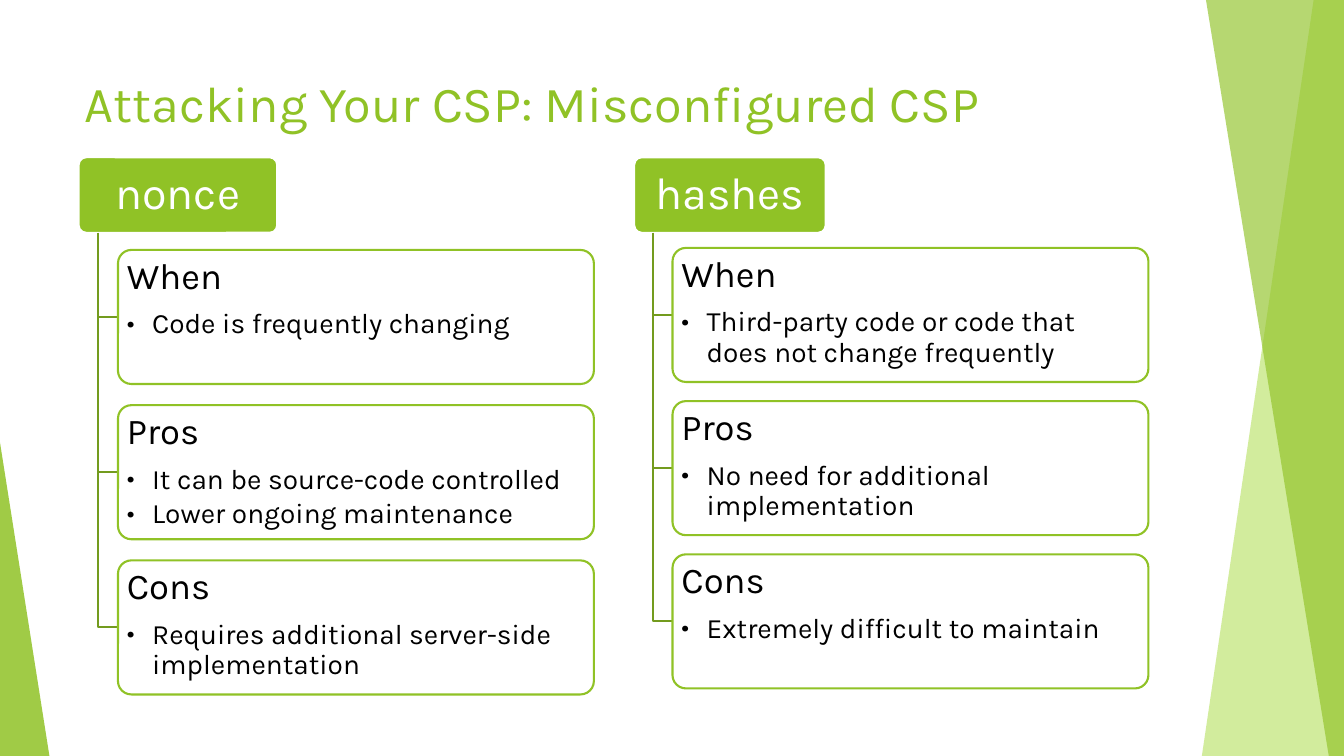
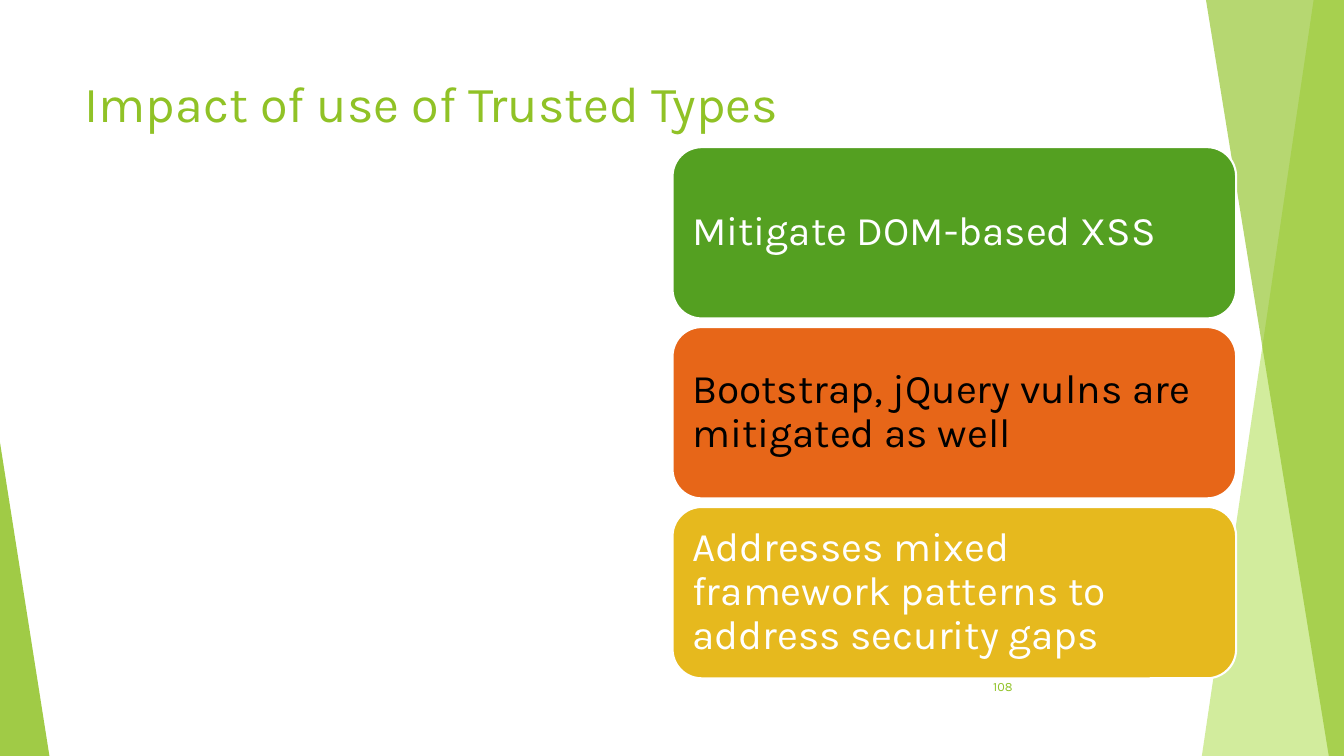
from lxml import etree
from pptx import Presentation
from pptx import util as u
from pptx.dml.color import RGBColor
from pptx.enum import shapes, text
from pptx.oxml import ns

GREEN = RGBColor(0x90, 0xC2, 0x26)
PALE_GREEN = RGBColor(0xC0, 0xE4, 0x74)
LEAF = RGBColor(0x54, 0xA0, 0x21)
OLIVE = RGBColor(0x73, 0x9B, 0x1E)
ORANGE = RGBColor(0xE7, 0x66, 0x18)
YELLOW = RGBColor(0xE6, 0xB9, 0x1E)
WHITE = RGBColor(0xFF, 0xFF, 0xFF)
BLACK = RGBColor(0x00, 0x00, 0x00)
FONT = "Karla"
ROUNDED = shapes.MSO_SHAPE.ROUNDED_RECTANGLE
LEFT, CENTER, RIGHT = text.PP_ALIGN.LEFT, text.PP_ALIGN.CENTER, text.PP_ALIGN.RIGHT
TOP, MIDDLE = text.MSO_ANCHOR.TOP, text.MSO_ANCHOR.MIDDLE


def add_span(para, words, size, color, align=LEFT):
    para.alignment = align
    span = para.add_run()
    span.text = words
    span.font.name = FONT
    span.font.size = u.Pt(size)
    span.font.color.rgb = color


def add_box(page, place, fill, line, corner, anchor, margin_x, margin_y):
    """Add a rounded box at place (left, top, width, height in inches)."""
    box = page.shapes.add_shape(ROUNDED, *map(u.Inches, place))
    box.adjustments[0] = corner
    box.shadow.inherit = False
    box.fill.solid()
    box.fill.fore_color.rgb = fill
    box.line.color.rgb = line
    box.line.width = u.Pt(1.5)
    frame = box.text_frame
    frame.word_wrap = True
    frame.vertical_anchor = anchor
    frame.margin_left = frame.margin_right = u.Inches(margin_x)
    frame.margin_top = frame.margin_bottom = u.Inches(margin_y)
    frame.paragraphs[0].line_spacing = 0.9
    return box


deck = Presentation()
deck.slide_width, deck.slide_height = u.Inches(13.33), u.Inches(7.5)
layout = deck.slide_layouts[5]

# Titles
pages = []
for heading in ("Attacking Your CSP: Misconfigured CSP", "Impact of use of Trusted Types"):
    page = deck.slides.add_slide(layout)
    title = page.shapes.title
    title.left, title.top = u.Inches(0.74), u.Inches(0.67)
    title.width, title.height = u.Inches(9.4), u.Inches(0.82)
    title.text_frame.auto_size = text.MSO_AUTO_SIZE.NONE
    title.text_frame.vertical_anchor = TOP
    add_span(title.text_frame.paragraphs[0], heading, 36, GREEN)
    pages.append(page)
compare_page, impact_page = pages

# Green side bands, shared through the layout
bands = []
for outline, color, opacity in (
    ([(13.03, -0.01), (13.33, -0.01), (13.33, 7.5), (11.92, 7.5)], PALE_GREEN, 70),
    ([(11.96, -0.01), (13.33, -0.01), (13.33, 7.5), (13.18, 7.5)], GREEN, 65),
):
    corners = [(u.Inches(x), u.Inches(y)) for x, y in outline]
    builder = compare_page.shapes.build_freeform(*corners[0])
    builder.add_line_segments(corners[1:], close=True)
    bands.append((builder.convert_to_shape(), color, opacity))
wedge = compare_page.shapes.add_shape(
    shapes.MSO_SHAPE.ISOSCELES_TRIANGLE, 0, u.Inches(4.39), u.Inches(0.49), u.Inches(3.11))
wedge.adjustments[0] = 0
bands.append((wedge, GREEN, 85))

for index, (band, color, opacity) in enumerate(bands):
    band.shadow.inherit = False
    band.line.fill.background()
    band.fill.solid()
    band.fill.fore_color.rgb = color
    tint = band.element.spPr.find(".//" + ns.qn("a:srgbClr"))
    etree.SubElement(tint, ns.qn("a:alpha"), val=str(opacity * 1000))
    band.element.nvSpPr.cNvPr.id = 20 + index
    layout.shapes.element.insert(2 + index, band.element)

# Comparison: a header with three cards hanging from it, per column
HEADER_TOP, HEADER_HEIGHT = 1.56, 0.75
CARD_WIDTH, CARD_HEIGHT = 4.72, 1.33
columns = (
    ("nonce", 0.78, 1.97, 1.17, 2.48, 1.54, (
        ("When", ["Code is frequently changing"]),
        ("Pros", ["It can be source-code controlled", "Lower ongoing maintenance"]),
        ("Cons", ["Requires additional server-side implementation"]),
    )),
    ("hashes", 6.29, 1.9, 6.67, 2.46, 1.52, (
        ("When", ["Third-party code or code that does not change frequently"]),
        ("Pros", ["No need for additional implementation"]),
        ("Cons", ["Extremely difficult to maintain"]),
    )),
)
for name, left, width, card_left, card_top, pitch, cards in columns:
    header = add_box(compare_page, (left, HEADER_TOP, width, HEADER_HEIGHT),
                     GREEN, WHITE, 0.1, MIDDLE, 0.07, 0.04)
    add_span(header.text_frame.paragraphs[0], name, 32, WHITE, CENTER)

    trunk_x = u.Inches(left + 0.19)
    for row, (topic, points) in enumerate(cards):
        top = card_top + row * pitch
        branch_y = u.Inches(top + CARD_HEIGHT / 2)
        builder = compare_page.shapes.build_freeform(
            trunk_x, u.Inches(HEADER_TOP + HEADER_HEIGHT))
        builder.add_line_segments(
            [(trunk_x, branch_y), (u.Inches(card_left), branch_y)], close=False)
        elbow = builder.convert_to_shape()
        elbow.shadow.inherit = False
        elbow.fill.background()
        elbow.line.color.rgb = OLIVE
        elbow.line.width = u.Pt(1.5)

        card = add_box(compare_page, (card_left, top, CARD_WIDTH, CARD_HEIGHT),
                       WHITE, GREEN, 0.1, TOP, 0.05, 0.04)
        para = card.text_frame.paragraphs[0]
        para.space_after = u.Pt(9)
        add_span(para, topic, 26, BLACK)
        for point in points:
            para = card.text_frame.add_paragraph()
            para.level = 1
            para.line_spacing = 0.9
            para.space_after = u.Pt(3)
            props = para._p.get_or_add_pPr()
            props.set("marL", str(u.Inches(0.25)))
            props.set("indent", str(-u.Inches(0.25)))
            etree.SubElement(props, ns.qn("a:buFont"), typeface=FONT)
            etree.SubElement(props, ns.qn("a:buChar"), char="•")
            add_span(para, point, 20, BLACK)

# Impact: three stacked statements
statements = (
    ("Mitigate DOM-based XSS", LEAF, WHITE),
    ("Bootstrap, jQuery vulns are mitigated as well", ORANGE, BLACK),
    ("Addresses mixed framework patterns to address security gaps", YELLOW, WHITE),
)
for row, (words, fill, color) in enumerate(statements):
    box = add_box(impact_page, (6.67, 1.46 + row * 1.785, 5.59, 1.7),
                  fill, WHITE, 0.17, MIDDLE, 0.11, 0.12)
    add_span(box.text_frame.paragraphs[0], words, 29, color)

number = impact_page.shapes.add_textbox(
    u.Inches(9.39), u.Inches(6.61), u.Inches(0.75), u.Inches(0.4))
number.text_frame.word_wrap = True
number.text_frame.vertical_anchor = MIDDLE
add_span(number.text_frame.paragraphs[0], "108", 9, GREEN, RIGHT)

deck.save("out.pptx")
